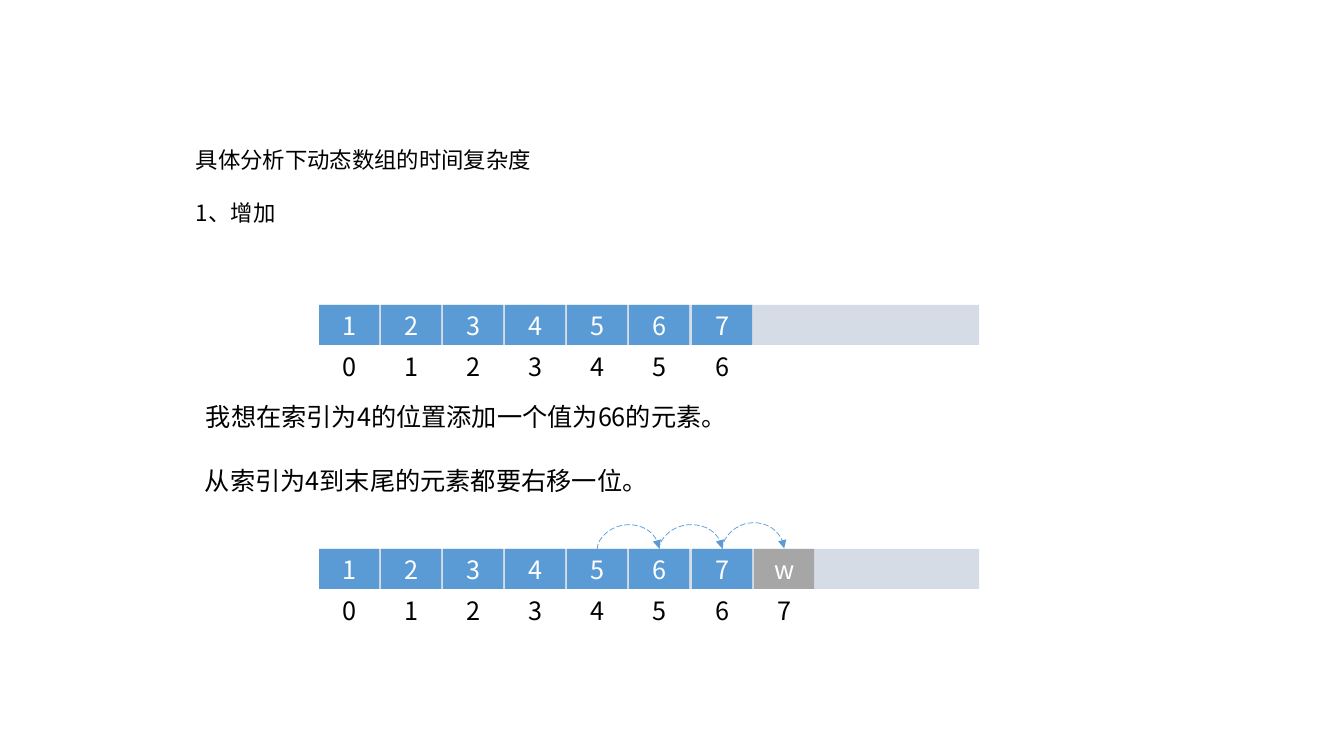
from pptx import Presentation, util as u
from pptx.dml.color import RGBColor
from pptx.enum import dml, shapes, text
from pptx.oxml.ns import qn
from lxml import etree

HEADING = ["具体分析下动态数组的时间复杂度", "1、增加"]
STEPS = [
    ("我想在索引为4的位置添加一个值为66的元素。", (196, 396, 544, 40)),
    ("从索引为4到末尾的元素都要右移一位。", (195, 460, 467, 40)),
]
VALUES = list("1234567")
ARRAYS = [
    {"top": 305, "values": VALUES, "new": [], "rises": []},
    {"top": 549, "values": VALUES, "new": ["w"], "rises": [25, 25, 27]},
]
SHIFT_START = 4

THEME = {
    "font": "Noto Sans CJK SC", "heading": 16, "body": 18, "gap": 19, "arc": 0.5,
    "ink": "000000", "light": "FFFFFF",
    "track": "D6DCE5", "cell": "5B9BD5", "new": "A6A6A6",
}

LEFT, CELL_W, CELL_H, TRACK_W = 319, 60, 40, 660
LABEL_INSET, LABEL_W, LABEL_DROP = 13, 34, 41
PX = u.Inches(1) / 100.8


def px(*lengths):
    return [round(length * PX) for length in lengths]


def cell_left(index):
    return LEFT + index * 373 // 6


def color(name):
    return RGBColor.from_string(THEME[name])


def write(paragraph, words, size, ink):
    run = paragraph.add_run()
    run.text = words
    run.font.size = u.Pt(THEME[size])
    run.font.color.rgb = color(ink)
    run.font.name = THEME["font"]
    east_asian = etree.SubElement(run.font._element, qn("a:ea"))
    east_asian.set("typeface", THEME["font"])


def add_text(parent, lines, box, size="body", wrap=False):
    frame = parent.add_textbox(*px(*box)).text_frame
    frame.word_wrap = wrap
    frame.auto_size = text.MSO_AUTO_SIZE.SHAPE_TO_FIT_TEXT
    for number, line in enumerate(lines):
        paragraph = frame.add_paragraph() if number else frame.paragraphs[0]
        if number:
            paragraph.space_before = u.Pt(THEME["gap"])
        write(paragraph, line, size, "ink")


def add_bar(parent, box, fill, value=None):
    bar = parent.add_shape(shapes.MSO_SHAPE.RECTANGLE, *px(*box))
    bar.shadow.inherit = False
    bar.fill.solid()
    bar.fill.fore_color.rgb = color(fill)
    bar.line.fill.background()
    if value is not None:
        bar.text_frame.vertical_anchor = text.MSO_ANCHOR.MIDDLE
        paragraph = bar.text_frame.paragraphs[0]
        paragraph.alignment = text.PP_ALIGN.CENTER
        write(paragraph, value, "body", "light")


def add_arc(parent, index, base, rise):
    start, end = (cell_left(i) + CELL_W / 2 for i in (index, index + 1))
    middle, half = (start + end) / 2, (end - start) / 2
    arc = parent.add_connector(
        shapes.MSO_CONNECTOR.CURVE,
        *px(middle + 0.5, base + half, middle - 0.5, base - half))
    arc.rotation = 90
    arc.line.color.rgb = color("cell")
    arc.line.width = u.Pt(THEME["arc"])
    arc.line.dash_style = dml.MSO_LINE.LONG_DASH
    properties = arc._element.spPr
    guides = properties.find(qn("a:prstGeom")).get_or_add_avLst()
    etree.SubElement(guides, qn("a:gd"), name="adj1", fmla=f"val {rise * 100000}")
    etree.SubElement(properties.find(qn("a:ln")), qn("a:tailEnd"), type="triangle")
    etree.SubElement(properties, qn("a:effectLst"))


def add_array(slide, array):
    group = slide.shapes.add_group_shape().shapes
    top = array["top"]
    add_bar(group, (LEFT, top, TRACK_W, CELL_H), "track")
    cells = [(value, "cell") for value in array["values"]]
    cells += [(value, "new") for value in array["new"]]
    for index, (value, fill) in enumerate(cells):
        left = cell_left(index)
        add_bar(group, (left, top, CELL_W, CELL_H), fill, value)
        add_text(group, [str(index)],
                 (left + LABEL_INSET, top + LABEL_DROP, LABEL_W, CELL_H))
    for index, rise in enumerate(array["rises"], SHIFT_START):
        add_arc(group, index, top, rise)


deck = Presentation()
deck.slide_width, deck.slide_height = u.Inches(13.33), u.Inches(7.5)
slide = deck.slides.add_slide(deck.slide_layouts[6])
add_text(slide.shapes, HEADING, (186, 141, 840, 92), "heading", wrap=True)
for sentence, box in STEPS:
    add_text(slide.shapes, [sentence], box)
for array in ARRAYS:
    add_array(slide, array)
deck.save("out.pptx")
